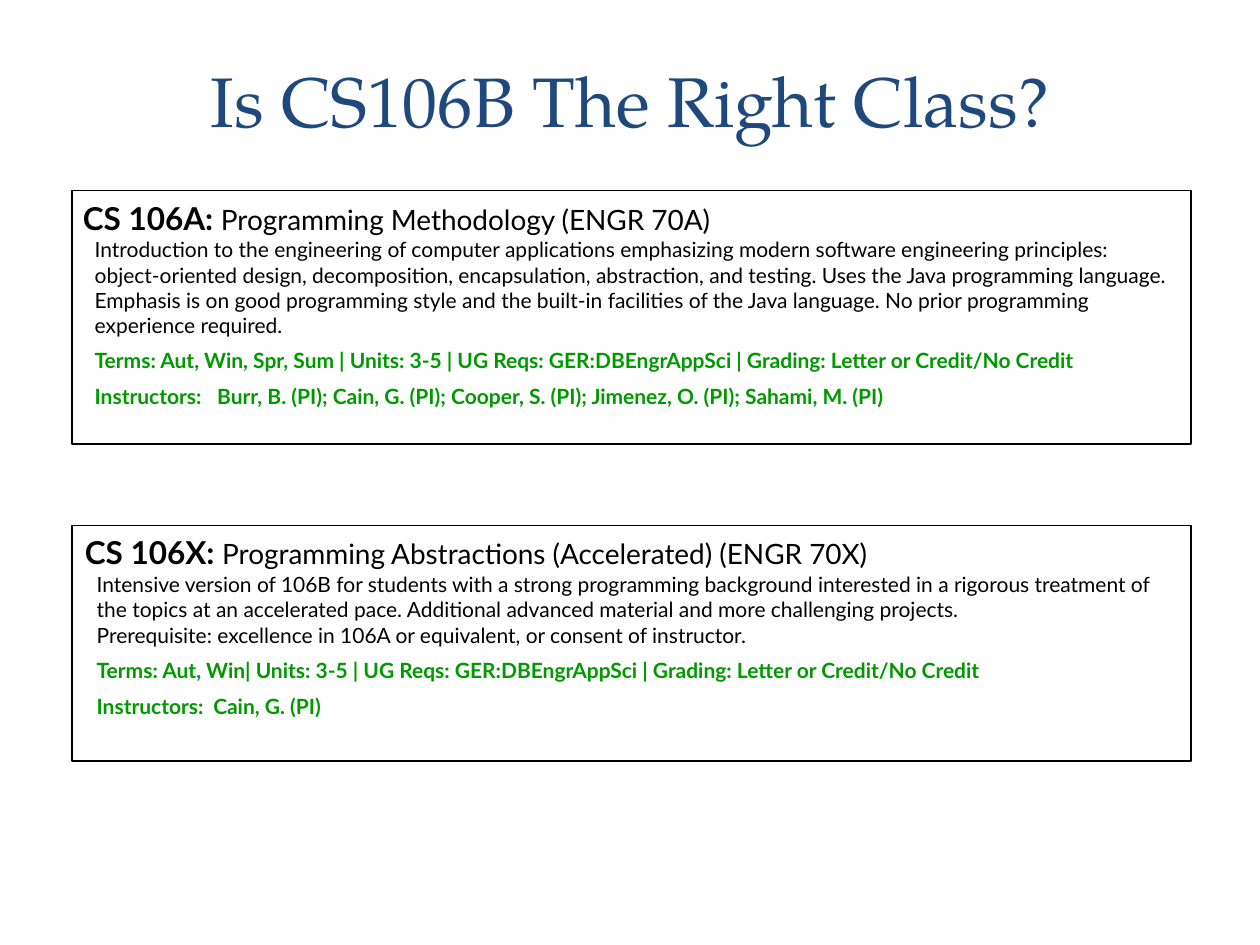
from dataclasses import dataclass

from lxml import etree
from pptx import Presentation
from pptx import util as u
from pptx.dml.color import RGBColor
from pptx.enum import shapes, text
from pptx.oxml.ns import qn


@dataclass(frozen=True)
class Theme:
    ink: RGBColor = RGBColor(0x00, 0x00, 0x00)
    paper: RGBColor = RGBColor(0xFF, 0xFF, 0xFF)
    title: RGBColor = RGBColor(0x1F, 0x49, 0x7D)
    detail: RGBColor = RGBColor(0x00, 0x99, 0x00)
    title_font: str = "TeX Gyre Pagella"
    body_font: str = "Lato"
    title_size: int = 40
    code_size: int = 18
    name_size: int = 16
    body_size: int = 12


theme = Theme()


def add_span(para, words, size, color=theme.ink, bold=False, font=theme.body_font):
    span = para.add_run()
    span.text = words
    span.font.color.rgb = color
    for name, value in {"name": font, "size": u.Pt(size), "bold": bold}.items():
        setattr(span.font, name, value)


def add_box(left, top, width, height):
    """Add a wrapping text box and return its text frame."""
    box = slide.shapes.add_textbox(u.Cm(left), u.Cm(top), u.Cm(width), u.Cm(height))
    box.text_frame.word_wrap = True
    return box.text_frame


courses = [
    {
        "code": "CS 106A: ",
        "name": "Programming Methodology (ENGR 70A)",
        "about": [
            "Introduction to the engineering of computer applications emphasizing "
            "modern software engineering principles: object-oriented design, "
            "decomposition, encapsulation, abstraction, and testing. Uses the Java "
            "programming language. Emphasis is on good programming style and the "
            "built-in facilities of the Java language. No prior programming "
            "experience required.",
        ],
        "terms": "Terms: Aut, Win, Spr, Sum | Units: 3-5 | UG Reqs: "
                 "GER:DBEngrAppSci | Grading: Letter or Credit/No Credit",
        "instructors": "Burr, B. (PI); Cain, G. (PI); Cooper, S. (PI); "
                       "Jimenez, O. (PI); Sahami, M. (PI)",
        "top": 3.84, "height": 5.11, "text_left": 1.42,
        "about_width": 22.33, "about_height": 2.31, "terms_drop": 3.04, "tab": 2.47,
    },
    {
        "code": "CS 106X: ",
        "name": "Programming Abstractions (Accelerated) (ENGR 70X)",
        "about": [
            "Intensive version of 106B for students with a strong programming "
            "background interested in a rigorous treatment of the topics at an "
            "accelerated pace. Additional advanced material and more challenging "
            "projects.",
            "Prerequisite: excellence in 106A or equivalent, or consent of instructor.",
        ],
        "terms": "Terms: Aut, Win| Units: 3-5 | UG Reqs: "
                 "GER:DBEngrAppSci | Grading: Letter or Credit/No Credit",
        "instructors": "Cain, G. (PI)",
        "top": 10.59, "height": 4.75, "text_left": 1.46,
        "about_width": 22.23, "about_height": 1.8, "terms_drop": 2.54, "tab": 2.35,
    },
]

deck = Presentation()
deck.slide_width, deck.slide_height = u.Cm(25.4), u.Cm(19.05)
slide = deck.slides.add_slide(deck.slide_layouts[5])

title = slide.shapes.title
place = {"left": 0, "top": 0.64, "width": 25.4, "height": 2.34}
for name, value in place.items():
    setattr(title, name, u.Cm(value))
title_format = {
    "vertical_anchor": text.MSO_ANCHOR.BOTTOM,
    "auto_size": text.MSO_AUTO_SIZE.NONE,
    "word_wrap": True,
}
for name, value in title_format.items():
    setattr(title.text_frame, name, value)
para = title.text_frame.paragraphs[0]
para.alignment = text.PP_ALIGN.CENTER
para.line_spacing = u.Pt(58)
add_span(para, "Is CS106B The Right Class?", theme.title_size,
         theme.title, font=theme.title_font)

for course in courses:
    top, left = course["top"], course["text_left"]
    inset = left + 0.24

    frame = slide.shapes.add_shape(
        shapes.MSO_SHAPE.RECTANGLE,
        u.Cm(1.45), u.Cm(top), u.Cm(22.56), u.Cm(course["height"]))
    frame.shadow.inherit = False
    frame.fill.solid()
    frame.fill.fore_color.rgb = theme.paper
    frame.line.color.rgb = theme.ink
    frame.line.width = u.Pt(0.75)

    heading = add_box(left, top + 0.04, 22.58, 1.02).paragraphs[0]
    add_span(heading, course["code"], theme.code_size, bold=True)
    add_span(heading, course["name"], theme.name_size)

    about = add_box(inset, top + 0.81, course["about_width"], course["about_height"])
    for index, words in enumerate(course["about"]):
        para = about.add_paragraph() if index else about.paragraphs[0]
        add_span(para, words, theme.body_size)

    terms_top = top + course["terms_drop"]
    terms = add_box(inset, terms_top, 21.79, 0.76).paragraphs[0]
    add_span(terms, course["terms"], theme.body_size, theme.detail, bold=True)

    staff = add_box(inset, terms_top + 0.73, 21.79, 0.76).paragraphs[0]
    tabs = etree.SubElement(staff._p.get_or_add_pPr(), qn("a:tabLst"))
    etree.SubElement(tabs, qn("a:tab"), pos=str(u.Cm(course["tab"])), algn="l")
    add_span(staff, "Instructors:\t" + course["instructors"],
             theme.body_size, theme.detail, bold=True)

deck.save("out.pptx")
